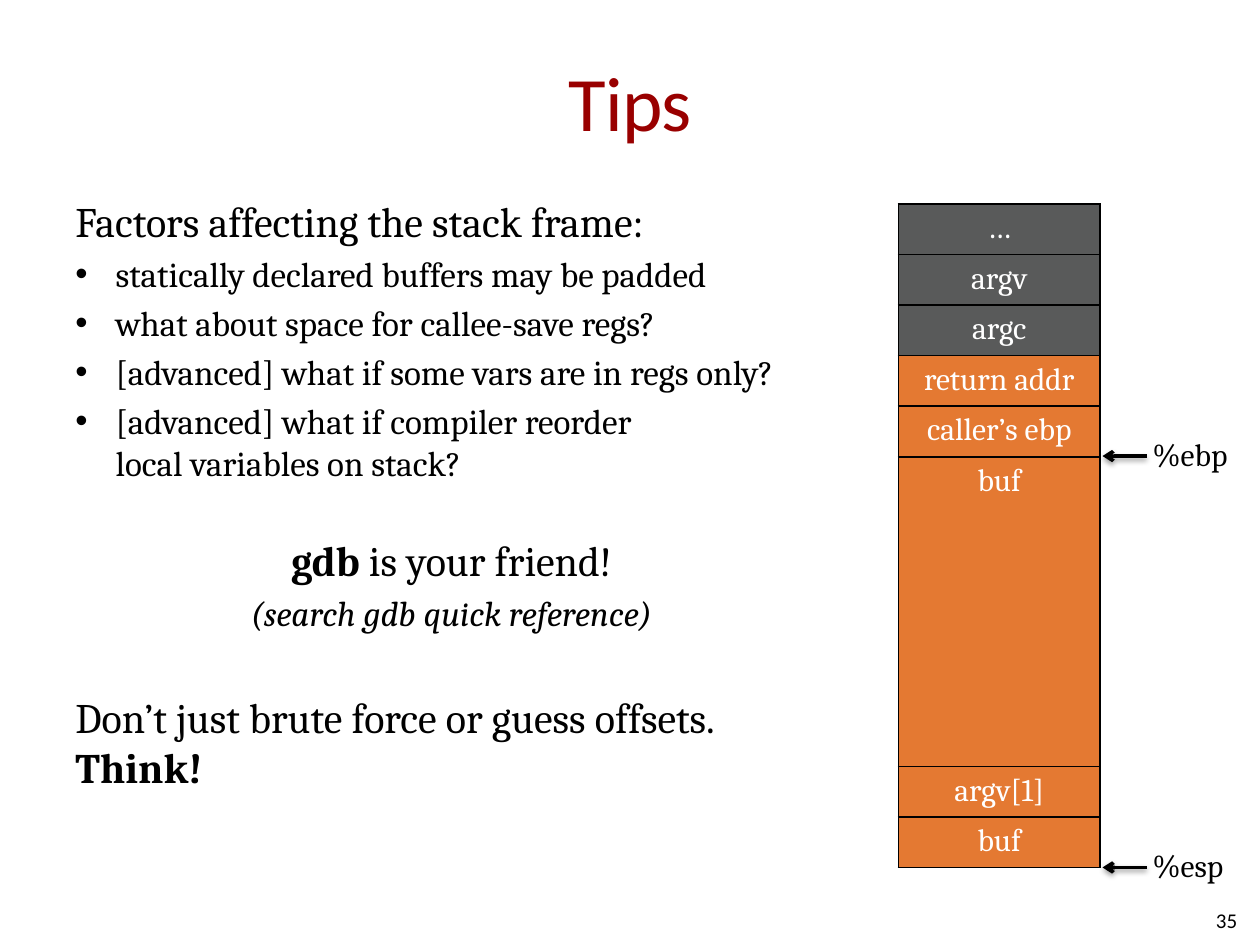
from lxml import etree
from pptx import Presentation
from pptx.dml.color import RGBColor
from pptx.enum.shapes import MSO_CONNECTOR
from pptx.enum.text import MSO_ANCHOR, PP_ALIGN
from pptx.oxml import parse_xml
from pptx.oxml.ns import nsdecls, qn
from pptx.util import Pt

STRAIGHT = MSO_CONNECTOR.STRAIGHT
MIDDLE = MSO_ANCHOR.MIDDLE
LEFT, CENTER, RIGHT = PP_ALIGN.LEFT, PP_ALIGN.CENTER, PP_ALIGN.RIGHT
TITLE_LAYOUT = 5
BLACK, WHITE, RED = "000000", "FFFFFF", "990000"
GRAY, ORANGE = "595A5A", "E47932"
SERIF, SANS = "Cambria", "Calibri"

ROW, BUFFER_ROW = 28.9, 177
STACK = [("…", GRAY, ROW), ("argv", GRAY, ROW), ("argc", GRAY, ROW),
         ("return addr", ORANGE, ROW), ("caller’s ebp", ORANGE, ROW),
         ("buf", ORANGE, BUFFER_ROW), ("argv[1]", ORANGE, ROW),
         ("buf", ORANGE, ROW)]


def rgb(color):
    return RGBColor.from_string(color)


def add_run(p, text, size, color=BLACK, font=SERIF, bold=False, italic=False):
    r = p.add_run()
    r.text = text
    r.font.size, r.font.name = Pt(size), font
    r.font.bold, r.font.italic = bold, italic
    r.font.color.rgb = rgb(color)
    return r


def add_box(s, x, y, w, h, wrap=True):
    tf = s.shapes.add_textbox(Pt(x), Pt(y), Pt(w), Pt(h)).text_frame
    tf.word_wrap = wrap
    return tf


def add_paragraph(tf, before, align=LEFT):
    p = tf.add_paragraph()
    p.space_before, p.alignment = Pt(before), align
    return p


def add_bullet(tf, lines):
    p = add_paragraph(tf, 4)
    pPr = p._p.get_or_add_pPr()
    pPr.set("marL", str(Pt(23)))
    pPr.set("indent", str(Pt(-23)))
    etree.SubElement(pPr, qn("a:buFont")).set("typeface", "Arial")
    etree.SubElement(pPr, qn("a:buChar")).set("char", "•")
    for i, line in enumerate(lines):
        if i:
            p.add_line_break()
        add_run(p, line, 20)


def add_title(s, x, y, w, h):
    title = s.shapes.title
    title.left, title.top, title.width, title.height = Pt(x), Pt(y), Pt(w), Pt(h)
    tf = title.text_frame
    tf.vertical_anchor = MIDDLE
    tf.margin_left = tf.margin_right = 0
    p = tf.paragraphs[0]
    p.alignment = CENTER
    r = add_run(p, "Tips", 44, RED, SANS)
    r.font._element.set("spc", "-50")


def add_advice(s, x, y, w, h):
    tf = add_box(s, x, y, w, h)
    add_run(tf.paragraphs[0], "Factors affecting the stack frame:", 24)
    for lines in (["statically declared buffers may be padded"],
                  ["what about space for callee-save regs?"],
                  ["[advanced] what if some vars are in regs only?"],
                  ["[advanced] what if compiler reorder",
                   "local variables on stack?"]):
        add_bullet(tf, lines)

    p = add_paragraph(tf, 29, CENTER)
    add_run(p, "gdb", 24, bold=True)
    add_run(p, " is your friend!", 24)
    p = add_paragraph(tf, 4, CENTER)
    add_run(p, "(search gdb quick reference)", 20, italic=True)

    p = add_paragraph(tf, 33)
    add_run(p, "Don’t just brute force or guess offsets.", 24)
    p.add_line_break()
    add_run(p, "Think!", 24, bold=True)


def add_borders(cell):
    tcPr = cell._tc.get_or_add_tcPr()
    for i, side in enumerate(("lnL", "lnR", "lnT", "lnB")):
        tcPr.insert(i, parse_xml(
            f'<a:{side} {nsdecls("a")} w="{Pt(1)}"><a:solidFill>'
            f'<a:srgbClr val="{BLACK}"/></a:solidFill></a:{side}>'))


def add_stack(s, x, y, w):
    height = sum(row[2] for row in STACK)
    table = s.shapes.add_table(len(STACK), 1, Pt(x), Pt(y), Pt(w), Pt(height)).table
    table.columns[0].width = Pt(w)
    table.first_row = table.horz_banding = False
    for i, (label, fill, row_height) in enumerate(STACK):
        table.rows[i].height = Pt(row_height)
        cell = table.cell(i, 0)
        cell.fill.solid()
        cell.fill.fore_color.rgb = rgb(fill)
        add_borders(cell)
        p = cell.text_frame.paragraphs[0]
        p.alignment = CENTER
        add_run(p, label, 18, WHITE)


def add_pointer(s, label, x, y):
    """Arrow with its tip at (x, y) and a register name to its right."""
    tf = add_box(s, x + 21.6, y - 15.8, 60, 29, wrap=False)
    add_run(tf.paragraphs[0], label, 18)
    arrow = s.shapes.add_connector(STRAIGHT, Pt(x + 25.2), Pt(y), Pt(x), Pt(y))
    arrow.line.color.rgb = rgb(BLACK)
    arrow.line.width = Pt(2)
    etree.SubElement(arrow.line._get_or_add_ln(), qn("a:tailEnd")).set("type", "arrow")
    arrow._element.spPr.append(parse_xml(
        f'<a:effectLst {nsdecls("a")}><a:outerShdw blurRad="{Pt(3.1)}" '
        f'dist="{Pt(1.6)}" dir="5400000" rotWithShape="0"><a:srgbClr val="{BLACK}">'
        '<a:alpha val="38000"/></a:srgbClr></a:outerShdw></a:effectLst>'))


def add_page_number(s, x, y, w, h):
    tf = add_box(s, x, y, w, h)
    tf.vertical_anchor = MIDDLE
    p = tf.paragraphs[0]
    p.alignment = RIGHT
    add_run(p, "35", 12, font=SANS)


def main():
    prs = Presentation()
    prs.slide_width, prs.slide_height = Pt(720), Pt(540)
    s = prs.slides.add_slide(prs.slide_layouts[TITLE_LAYOUT])
    add_title(s, 36, 12.3, 648, 90)
    add_advice(s, 36, 108, 444, 374)
    add_pointer(s, "%ebp", 630, 260.6)
    add_pointer(s, "%esp", 630, 495.7)
    add_page_number(s, 546, 511, 168, 29)
    add_stack(s, 513.4, 116.6, 115.2)
    prs.save("out.pptx")


if __name__ == "__main__":
    main()
